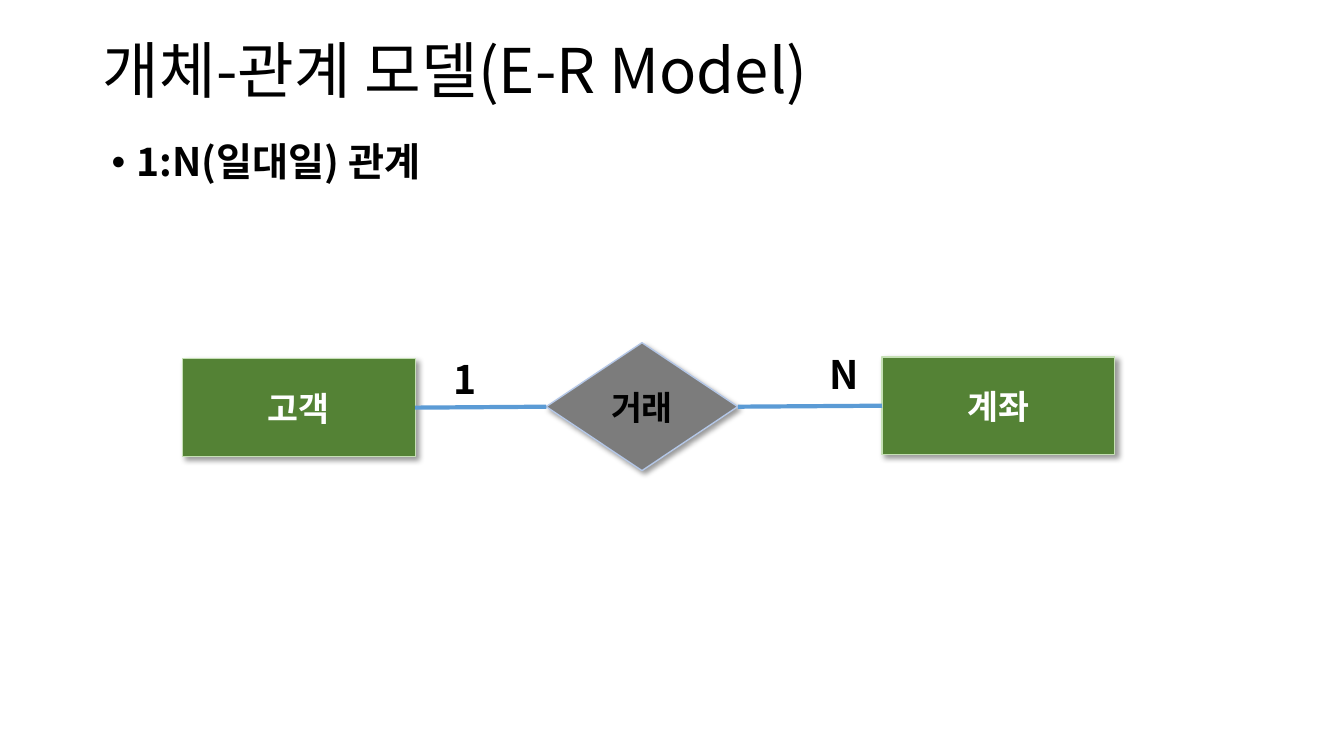
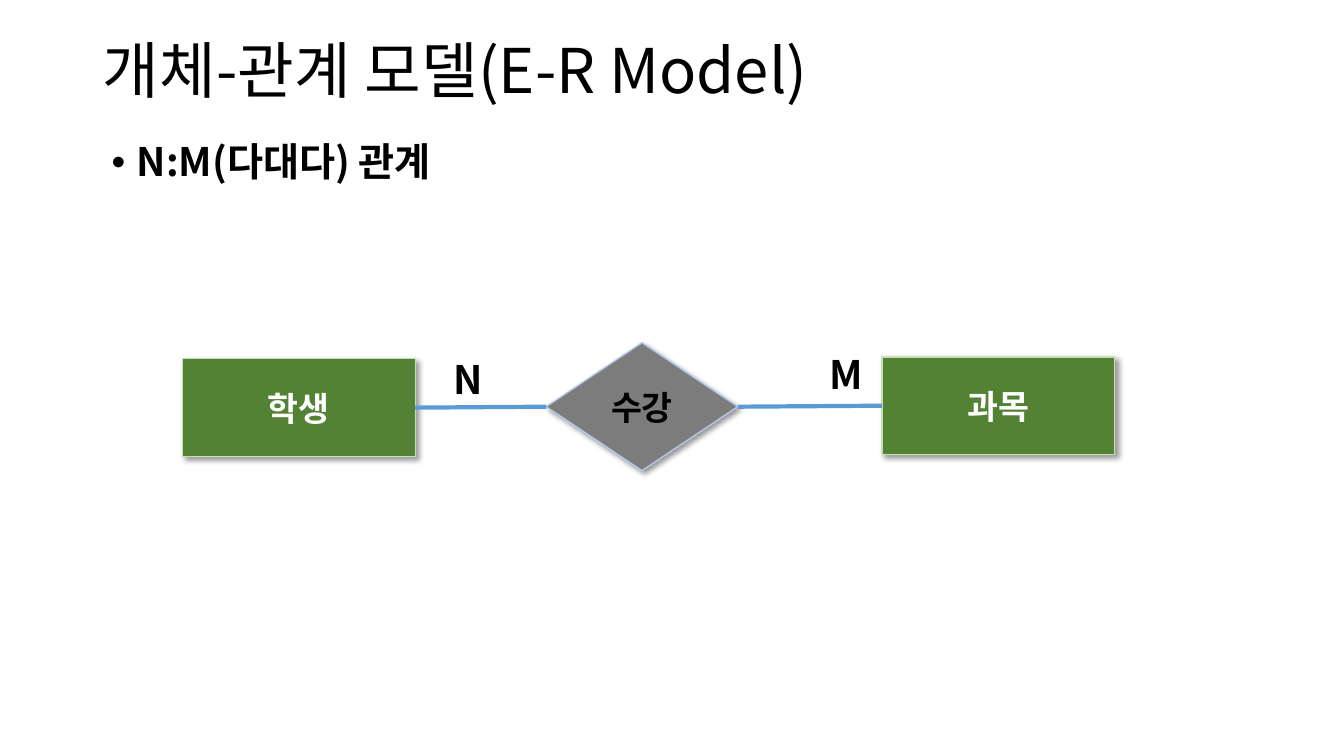
from lxml import etree
from pptx import Presentation
from pptx.dml.color import RGBColor
from pptx.enum import shapes, text
from pptx.oxml import ns
from pptx.util import Pt

# Content: heading, entity, relation, entity, left and right cardinality
TITLE = "개체-관계 모델(E-R Model)"
SLIDES = [
    ("1:N(일대일) 관계", "고객", "거래", "계좌", "1", "N"),
    ("N:M(다대다) 관계", "학생", "수강", "과목", "N", "M"),
]

# Shared look
FONT = "Noto Sans CJK KR"
BLACK = RGBColor(0x00, 0x00, 0x00)
WHITE = RGBColor(0xFF, 0xFF, 0xFF)
GREEN = RGBColor(0x54, 0x82, 0x35)
MINT = RGBColor(0xC5, 0xE0, 0xB4)
GRAY = RGBColor(0x7C, 0x7C, 0x7C)
PALE = RGBColor(0xB4, 0xC7, 0xE7)
BLUE = RGBColor(0x5B, 0x9B, 0xD5)
HEAD = {"size": Pt(44), "bold": False}
BODY = {"size": Pt(28), "bold": True}
NODE = {"size": Pt(24), "bold": True}
MID = text.MSO_ANCHOR.MIDDLE
KIND = shapes.MSO_SHAPE

# Places in points: left, top, width, height
TITLE_BOX = (66.2, 0, 828, 104.4)
BODY_BOX = (72.7, 98.6, 828, 67.7)
NODES = [
    (KIND.RECTANGLE, (130.3, 256.3, 166.3, 69.8), GREEN, MINT, WHITE),
    (KIND.FLOWCHART_DECISION, (390.2, 244.8, 136.8, 91.4), GRAY, PALE, BLACK),
    (KIND.RECTANGLE, (630, 254.9, 166.3, 69.8), GREEN, MINT, WHITE),
]
LABELS = [(316.8, 250.6, 61.9, 41), (585.4, 247, 61.9, 41)]


def pts(vals):
    return [Pt(v) for v in vals]


def add(node, tag, **attrs):
    return etree.SubElement(node, ns.qn(tag), attrs)


def write(shape, words, look, color=BLACK, **frame):
    for key, val in {"word_wrap": True, **frame}.items():
        setattr(shape.text_frame, key, val)
    para = shape.text_frame.paragraphs[0]
    run = para.add_run()
    run.text = words
    for key, val in {"name": FONT, **look}.items():
        setattr(run.font, key, val)
    run.font.color.rgb = color
    add(run.font._element, "a:ea", typeface=FONT)
    return para


def label(slide, box, words, look, **frame):
    return write(slide.shapes.add_textbox(*pts(box)), words, look, **frame)


def bullet(para):
    props = para._p.get_or_add_pPr()
    props.set("marL", str(Pt(18)))
    props.set("indent", str(-Pt(18)))
    add(props, "a:buFont", typeface="Arial")
    add(props, "a:buChar", char="•")


def shade(shape):
    shape.shadow.inherit = False
    glow = add(shape._element.spPr.find(ns.qn("a:effectLst")), "a:outerShdw",
               blurRad=str(Pt(4)), dist=str(Pt(3)), dir="2700000",
               algn="tl", rotWithShape="0")
    add(add(glow, "a:srgbClr", val=str(BLACK)), "a:alpha", val="40000")


def draw(slide, words, kind, box, fill, edge, ink):
    shape = slide.shapes.add_shape(kind, *pts(box))
    shape.fill.solid()
    shape.fill.fore_color.rgb = fill
    shape.line.color.rgb = edge
    shape.line.width = Pt(1)
    shade(shape)
    para = write(shape, words, NODE, ink, vertical_anchor=MID)
    para.alignment = text.PP_ALIGN.CENTER


def link(slide, one, two):
    # Right middle of one node to left middle of the next
    ends = (one[0] + one[2], one[1] + one[3] / 2, two[0], two[1] + two[3] / 2)
    line = slide.shapes.add_connector(shapes.MSO_CONNECTOR.STRAIGHT, *pts(ends))
    line.line.color.rgb = BLUE
    line.line.width = Pt(3)
    add(line._element.spPr, "a:effectLst")


# Build the slides
deck = Presentation()
deck.slide_width, deck.slide_height = pts((960, 540))
for topic, left, verb, right, *marks in SLIDES:
    slide = deck.slides.add_slide(deck.slide_layouts[6])
    head = label(slide, TITLE_BOX, TITLE, HEAD, vertical_anchor=MID)
    head.line_spacing = 0.9
    body = label(slide, BODY_BOX, topic, BODY)
    body.line_spacing = 0.9
    body.space_before = Pt(10)
    bullet(body)
    for words, node in zip((left, verb, right), NODES):
        draw(slide, words, *node)
    for one, two in zip(NODES, NODES[1:]):
        link(slide, one[1], two[1])
    for box, mark in zip(LABELS, marks):
        label(slide, box, mark, BODY,
              auto_size=text.MSO_AUTO_SIZE.SHAPE_TO_FIT_TEXT)

deck.save("out.pptx")
